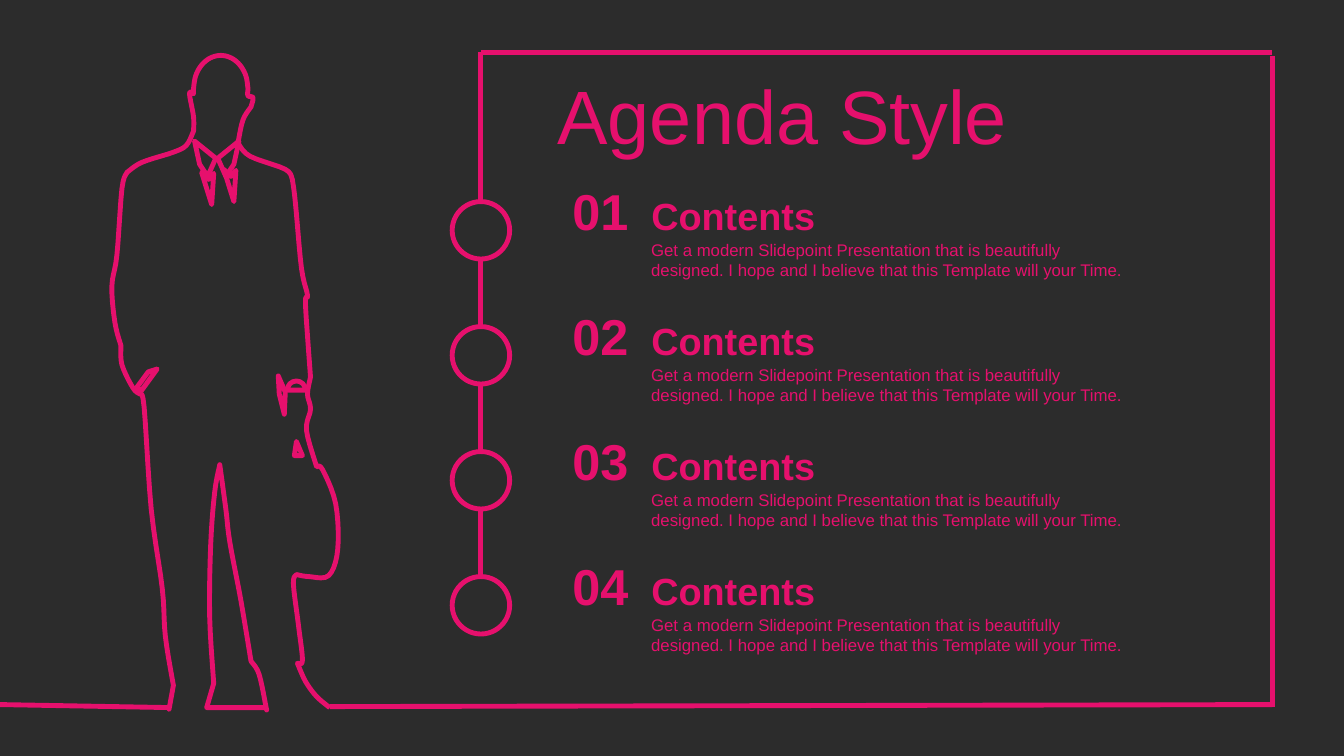
from dataclasses import dataclass
from math import cos, pi, sin

from lxml import etree
from pptx import Presentation
from pptx.dml.color import RGBColor
from pptx.enum.shapes import MSO_CONNECTOR, MSO_SHAPE
from pptx.enum.text import MSO_ANCHOR, MSO_AUTO_SIZE, PP_ALIGN
from pptx.oxml.ns import qn
from pptx.util import Emu, Pt

LINE = MSO_CONNECTOR.STRAIGHT
RING = MSO_SHAPE.OVAL
MIDDLE = MSO_ANCHOR.MIDDLE
GROW = MSO_AUTO_SIZE.SHAPE_TO_FIT_TEXT
LEFT, CENTER = PP_ALIGN.LEFT, PP_ALIGN.CENTER


@dataclass
class Theme:
    font: str = "Arial"
    ink: RGBColor = RGBColor(0xE6, 0x10, 0x6D)
    back: RGBColor = RGBColor(0x2C, 0x2C, 0x2C)
    title: int = 54
    number: int = 36
    head: int = 27
    body: int = 12
    stroke: float = 3.5


theme = Theme()
COLS, ROWS = 1333, 750
UNIT = 9144


def span(*cells):
    return [Emu(cell * UNIT) for cell in cells]


def write(box, text, size, bold=False, align=LEFT, inset=10):
    frame = box.text_frame
    frame.word_wrap = True
    frame.auto_size = GROW
    frame.margin_left, frame.margin_right = span(inset, inset)
    frame.margin_top, frame.margin_bottom = span(5, 5)
    frame.text = text
    line = frame.paragraphs[0]
    line.alignment = align
    font = line.runs[0].font
    font.name, font.size, font.bold = theme.font, Pt(size), bold
    font.color.rgb = theme.ink


deck = Presentation()
deck.slide_width, deck.slide_height = span(COLS, ROWS)
slide = deck.slides.add_slide(deck.slide_layouts[5])
slide.background.fill.solid()
slide.background.fill.fore_color.rgb = theme.back
shapes = slide.shapes

title = shapes.title
title.left, title.top, title.width, title.height = span(543, 63, 679, 101)
write(title, "Agenda Style", theme.title)
title.text_frame.vertical_anchor = MIDDLE

SPINE, EDGE, TOP, FLOOR = 477, 1262, 52, 702
BACK_HEEL, FRONT_TOE = 168, 327
borders = {
    "spine": (SPINE, 585, SPINE, TOP),
    "top": (EDGE, TOP, SPINE, TOP),
    "edge": (EDGE, FLOOR - 1, EDGE, TOP + 4),
    "floor": (EDGE, FLOOR - 3, FRONT_TOE, FLOOR - 1),
    "lead": (BACK_HEEL, FLOOR, 0, FLOOR - 3),
}
for ends in borders.values():
    rule = shapes.add_connector(LINE, *span(*ends))
    rule.line.color.rgb = theme.ink
    rule.line.width = Pt(theme.stroke)
    etree.SubElement(rule._element.spPr, qn("a:effectLst"))

ITEMS, FIRST, STEP, RING_SIZE = 4, 200, 124, 57
BODY = (
    "Get a modern Slidepoint Presentation that is beautifully designed. "
    "I hope and I believe that this Template will your Time."
)
for item in range(ITEMS):
    top = FIRST + item * STEP
    ring = shapes.add_shape(RING, *span(SPINE - RING_SIZE / 2, top, RING_SIZE, RING_SIZE))
    ring.shadow.inherit = False
    ring.fill.solid()
    ring.fill.fore_color.rgb = theme.back
    ring.line.color.rgb = theme.ink
    ring.line.width = Pt(theme.stroke)
    body = shapes.add_textbox(*span(636, top + 33, 493, 50))
    write(body, BODY, theme.body)
    head = shapes.add_textbox(*span(634, top - 14, 493, 56))
    write(head, "Contents", theme.head, True, inset=12)
    number = shapes.add_textbox(*span(543, top - 26, 105, 71))
    write(number, f"{item + 1:02}", theme.number, True, CENTER, 12)

CROWN_X, CROWN_Y, CROWN_W, CROWN_H = 219, 88, 27, 33
turns = [pi * (1 + step / 8) for step in range(9)]
crown = [(CROWN_X + CROWN_W * cos(turn), CROWN_Y + CROWN_H * sin(turn)) for turn in turns]

body_line = {
    "back heel": [(BACK_HEEL, FLOOR), (172, 680)],
    "back leg": [(164, 631), (161, 584), (150, 505), (143, 404), (139, 391)],
    "back hand": [(132, 385), (121, 362), (120, 343)],
    "back arm": [(114, 320), (111, 284), (116, 253), (121, 187), (126, 171)],
    "back shoulder": [(141, 161), (172, 151), (185, 144), (192, 130)],
    "back ear": [(192, 116), (188, 93), (192, 93)],
    "crown": crown,
    "front ear": [(246, 95), (251, 97), (249, 106)],
    "front neck": [(241, 119), (236, 142)],
    "front shoulder": [(248, 155), (283, 168), (290, 178)],
    "front arm": [(293, 201), (299, 266), (305, 293), (303, 302), (308, 374)],
    "front hand": [(305, 391), (308, 406), (304, 427), (314, 463)],
    "bag": [(320, 466), (333, 500), (335, 545), (326, 571), (306, 572), (294, 570)],
    "front leg": [(291, 579), (296, 620), (300, 655), (295, 658)],
    "front shoe": [(303, 676), (314, 691), (FRONT_TOE, FLOOR)],
}
leg_line = {
    "heel": [(264, FLOOR), (257, 669), (249, 656)],
    "front seam": [(239, 596), (228, 538), (224, 505), (218, 461)],
    "back seam": [(213, 488), (209, 540), (208, 612), (212, 678)],
    "toe": [(205, FLOOR)],
    "sole": [(264, FLOOR)],
}

COLLAR_AXIS = 215
LAPEL_DX, LAPEL_DY = 22, -3
collar = [(193, 140), (214, 157), (206, 175), (198, 163)]
lapel = [(200, 171), (210, 203), (212, 172), (207, 178)]
STRAP_X, STRAP_Y, STRAP_R = 294, 387, 9
patches = {
    "back collar": collar,
    "front collar": [(2 * COLLAR_AXIS - x, y) for x, y in collar],
    "back lapel": lapel,
    "front lapel": [(x + LAPEL_DX, y + LAPEL_DY) for x, y in lapel],
    "strap": [(STRAP_X + STRAP_R * cos(turn), STRAP_Y + STRAP_R * sin(turn)) for turn in turns],
    "cuff": [(282, 411), (283, 389), (276, 373), (277, 391)],
    "handle": [(300, 452), (294, 438), (292, 452)],
    "pocket": [(140, 388), (156, 366), (147, 369), (136, 384)],
}

SMOOTH = 5
pen = shapes.build_freeform(BACK_HEEL, FLOOR, scale=UNIT / 100)
for outline in (body_line, leg_line):
    start = next(iter(outline.values()))[0]
    curve = [start]
    for part in outline.values():
        knots = [curve[-1]] + part
        guides = [knots[0]] + knots + [knots[-1]]
        for a, b, c, d in zip(guides, guides[1:], guides[2:], guides[3:]):
            for step in range(1, SMOOTH + 1):
                t = step / SMOOTH
                curve.append(tuple(
                    q + t * (r - p + t * (2 * p - 5 * q + 4 * r - s + t * (3 * q - p - 3 * r + s))) / 2
                    for p, q, r, s in zip(a, b, c, d)
                ))
    pen.move_to(start[0] * 100, start[1] * 100)
    pen.add_line_segments([(x * 100, y * 100) for x, y in curve[1:]], close=False)
for patch in patches.values():
    fine = [(x * 100, y * 100) for x, y in patch]
    pen.move_to(*fine[0])
    pen.add_line_segments(fine[1:], close=True)
man = pen.convert_to_shape(0, 0)
man.shadow.inherit = False
man.fill.background()
man.line.color.rgb = theme.ink
man.line.width = Pt(theme.stroke)

deck.save("out.pptx")
